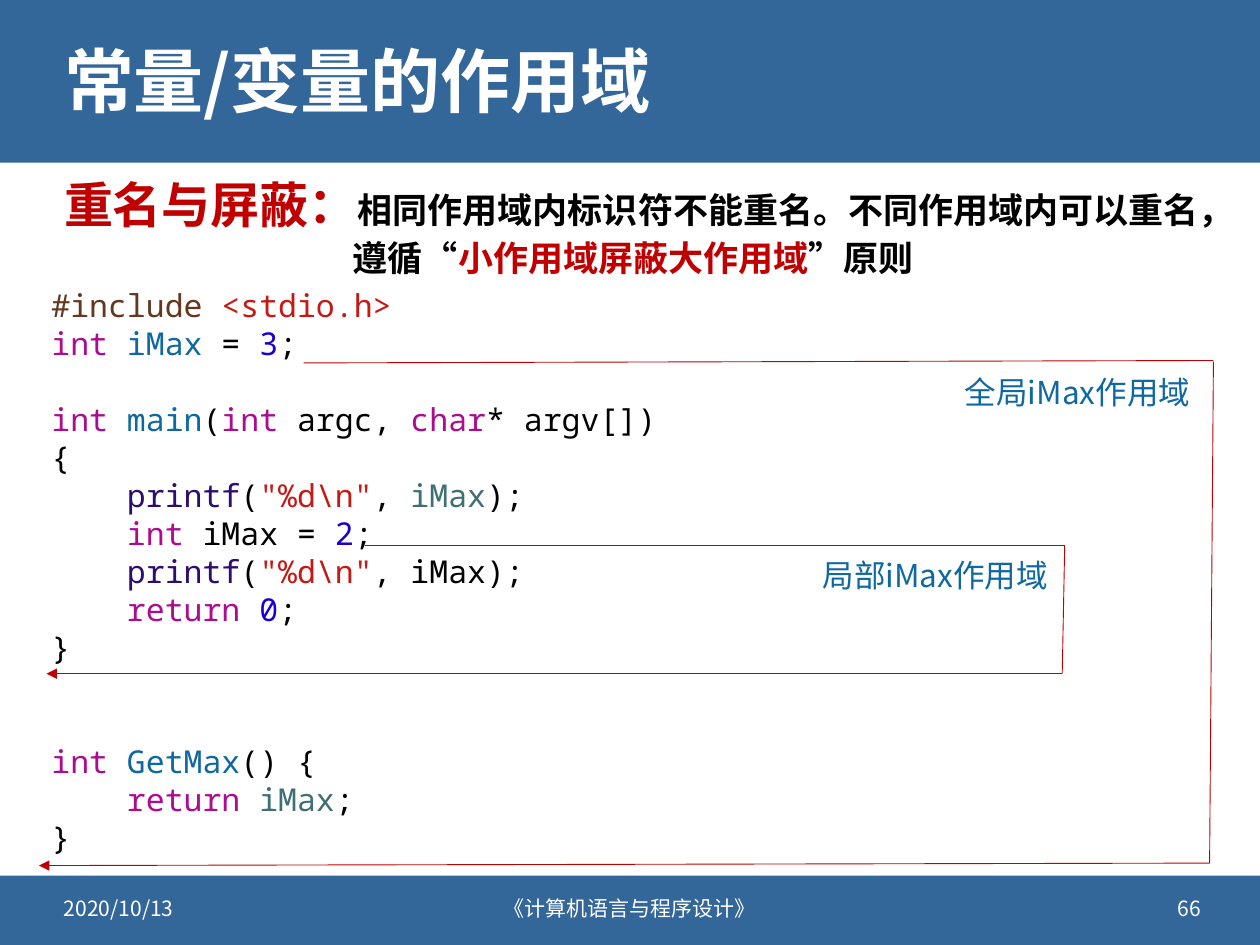
from dataclasses import dataclass
from typing import Optional

from lxml.etree import SubElement
from pptx import Presentation
from pptx.dml.color import RGBColor
from pptx.enum.shapes import MSO_CONNECTOR as Connector, MSO_SHAPE as Shape
from pptx.enum.text import MSO_ANCHOR as Anchor, PP_ALIGN as Align
from pptx.oxml.ns import qn
from pptx.util import Pt

COLORS = {
    "band": "336699", "white": "FFFFFF", "black": "000000", "red": "C00000",
    "directive": "643820", "string": "C41A16", "keyword": "AA0D91",
    "name": "0F68A0", "number": "1C00CF", "call": "2E0D6E", "global": "3F6E74",
}
SANS, MONO = "Noto Sans CJK SC", "Noto Sans Mono"
CODE_PITCH = 21.7
INDENT = "    "


@dataclass
class Span:
    text: str
    color: str = "black"
    size: float = 18
    bold: bool = False
    font: str = SANS


@dataclass
class Line:
    spans: list[Span]
    space_before: float = 0


@dataclass
class TextBox:
    left: float
    top: float
    width: float
    height: float
    lines: list[Line]
    anchor: Anchor = Anchor.TOP
    align: Align = Align.LEFT
    spacing: Optional[float] = None  # below 2: share of a line, else points
    hanging: float = 0
    inset_top: float = 3.6
    inset_right: float = 7.2


@dataclass
class Bracket:
    """Scope of a variable: out along the top, down, and back to an arrow."""
    start: tuple[float, float]
    top_corner: tuple[float, float]
    side_top: tuple[float, float]
    bottom_corner: tuple[float, float]
    arrow: tuple[float, float]


def color(name: str) -> RGBColor:
    return RGBColor.from_string(COLORS[name])


def code(*parts: tuple[str, str], gap: float = 0) -> Line:
    return Line([Span(text, tint, font=MONO) for text, tint in parts], gap)


def draw_band(slide, top: float, height: float) -> None:
    band = slide.shapes.add_shape(Shape.RECTANGLE, Pt(0), Pt(top), Pt(720), Pt(height))
    band.shadow.inherit = False
    band.fill.solid()
    band.fill.fore_color.rgb = color("band")
    band.line.fill.background()


def draw_span(para, span: Span) -> None:
    run = para.add_run()
    run.text = span.text
    formats = {"size": Pt(span.size), "bold": span.bold, "name": span.font}
    for key, value in formats.items():
        setattr(run.font, key, value)
    run.font.color.rgb = color(span.color)
    SubElement(run.font._element, qn("a:ea")).set("typeface", span.font)


def draw_text(slide, item: TextBox) -> None:
    box = slide.shapes.add_textbox(
        Pt(item.left), Pt(item.top), Pt(item.width), Pt(item.height))
    frame = box.text_frame
    formats = {"word_wrap": True, "vertical_anchor": item.anchor,
               "margin_top": Pt(item.inset_top), "margin_right": Pt(item.inset_right)}
    for key, value in formats.items():
        setattr(frame, key, value)
    for index, line in enumerate(item.lines):
        para = frame.add_paragraph() if index else frame.paragraphs[0]
        para.alignment = item.align
        if item.spacing:
            para.line_spacing = item.spacing if item.spacing < 2 else Pt(item.spacing)
        if line.space_before:
            para.space_before = Pt(line.space_before)
        if item.hanging:
            properties = para._p.get_or_add_pPr()
            properties.set("marL", str(Pt(item.hanging)))
            properties.set("indent", str(-Pt(item.hanging)))
        for span in line.spans:
            draw_span(para, span)


def draw_bracket(slide, bracket: Bracket) -> None:
    group = slide.shapes.add_group_shape()
    sides = [(bracket.start, bracket.top_corner, False),
             (bracket.arrow, bracket.bottom_corner, True),
             (bracket.side_top, bracket.bottom_corner, False)]
    for begin, end, has_arrow in sides:
        side = group.shapes.add_connector(
            Connector.STRAIGHT, *(Pt(value) for value in begin + end))
        side.line.color.rgb = color("red")
        side.line.width = Pt(0.5)
        if has_arrow:
            SubElement(side.line._get_or_add_ln(), qn("a:headEnd")).set("type", "triangle")
        SubElement(side._element.spPr, qn("a:effectLst"))


def footer(left: float, width: float, text: str, align: Align) -> TextBox:
    return TextBox(left, 504.7, width, 28.8, [Line([Span(text, "white", 12)])],
                   Anchor.MIDDLE, align)


def label(left: float, top: float, text: str) -> TextBox:
    return TextBox(left, top, 147.6, 28.8, [Line([Span(text, "name")])],
                   spacing=CODE_PITCH)


TITLE = TextBox(29.5, 13, 661.7, 71.3,
                [Line([Span("常量/变量的作用域", "white", 40, True)])],
                Anchor.MIDDLE, spacing=0.9)

RULE = TextBox(29.5, 94.3, 663.8, 65.5, [Line([
    Span("重名与屏蔽：", "red", 28, True),
    Span("相同作用域内标识符不能重名。不同作用域内可以重名，遵循“", "black", 20, True),
    Span("小作用域屏蔽大作用域", "red", 20, True),
    Span("”原则", "black", 20, True),
])], spacing=25.7, hanging=165, inset_top=13.5)

LISTING = TextBox(22.3, 159.8, 360, 334.1, [
    code(("#include ", "directive"), ("<stdio.h>", "string")),
    code(("int ", "keyword"), ("iMax", "name"), (" = ", "black"), ("3", "number"),
         (";", "black")),
    code(("int ", "keyword"), ("main", "name"), ("(", "black"), ("int ", "keyword"),
         ("argc, ", "black"), ("char", "keyword"), ("* argv[])", "black"), gap=CODE_PITCH),
    code(("{", "black")),
    code((INDENT, "black"), ("printf", "call"), ("(", "black"), ('"%d\\n"', "string"),
         (", ", "black"), ("iMax", "global"), (");", "black")),
    code((INDENT, "black"), ("int ", "keyword"), ("iMax = ", "black"), ("2", "number"),
         (";", "black")),
    code((INDENT, "black"), ("printf", "call"), ("(", "black"), ('"%d\\n"', "string"),
         (", iMax);", "black")),
    code((INDENT, "black"), ("return ", "keyword"), ("0", "number"), (";", "black")),
    code(("}", "black")),
    code(("int ", "keyword"), ("GetMax", "name"), ("() {", "black"), gap=2 * CODE_PITCH),
    code((INDENT, "black"), ("return ", "keyword"), ("iMax", "global"), (";", "black")),
    code(("}", "black")),
], spacing=CODE_PITCH, inset_right=0)

BRACKETS = [
    Bracket((173.5, 207.4), (693.4, 206), (693.4, 206.6), (691.2, 493.2), (22.3, 494.6)),
    Bracket((208.8, 311.8), (608.4, 311.8), (608.4, 311.8), (607, 385), (26.6, 385)),
]
LABELS = [label(544.3, 209.5, "全局iMax作用域"), label(463, 313.9, "局部iMax作用域")]
FOOTERS = [
    footer(29.5, 172.8, "2020/10/13", Align.LEFT),
    footer(230.4, 259.2, "《计算机语言与程序设计》", Align.CENTER),
    footer(520.6, 172.8, "66", Align.RIGHT),
]


def main() -> None:
    deck = Presentation()
    deck.slide_width, deck.slide_height = Pt(720), Pt(540)
    page = deck.slides.add_slide(deck.slide_layouts[6])
    # Header and footer bands
    draw_band(page, 0, 92.9)
    draw_band(page, 500.4, 39.6)
    # Title, footers, rule and code
    for item in [TITLE, *FOOTERS, RULE, LISTING]:
        draw_text(page, item)
    # Scope brackets and their labels
    for bracket in BRACKETS:
        draw_bracket(page, bracket)
    for item in LABELS:
        draw_text(page, item)
    deck.save("out.pptx")


if __name__ == "__main__":
    main()
